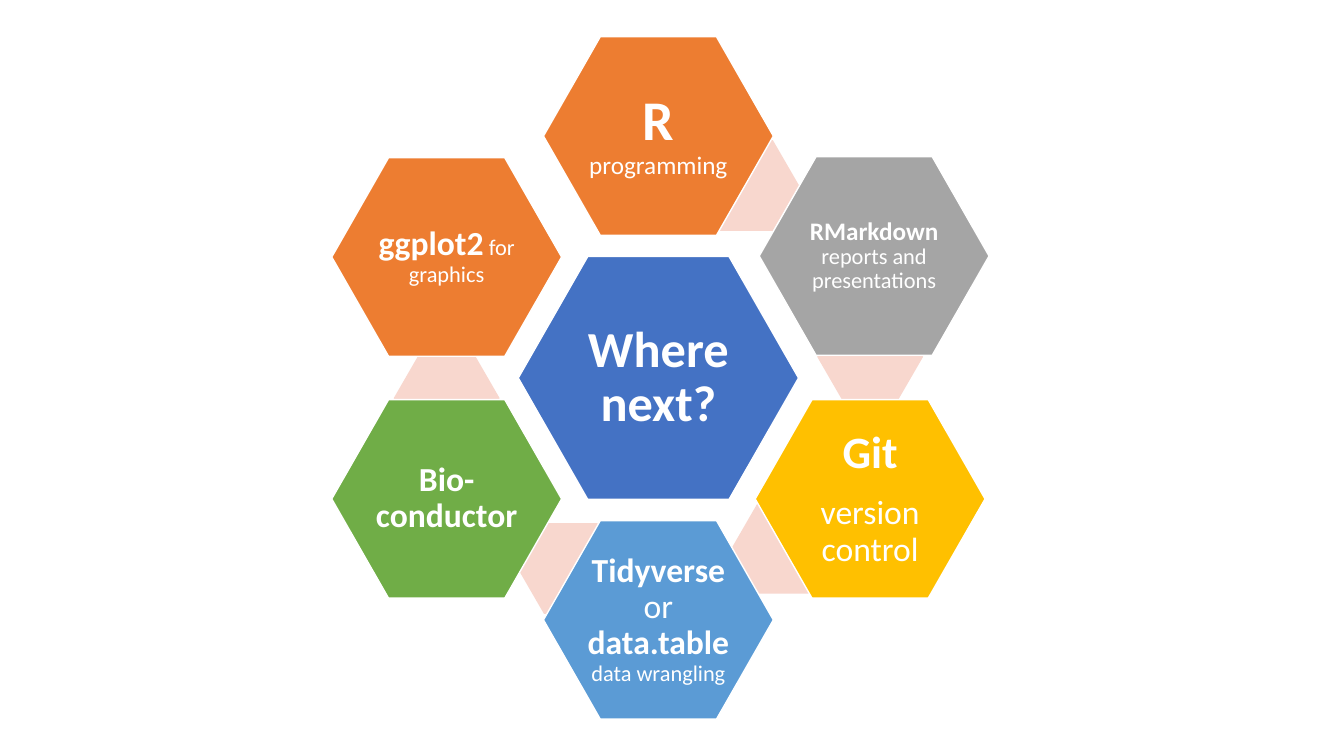
from dataclasses import dataclass

import pptx
import pptx.dml.color
import pptx.enum.shapes
import pptx.enum.text
import pptx.util

Inches = pptx.util.Inches
Pt = pptx.util.Pt
RGBColor = pptx.dml.color.RGBColor

WHITE = RGBColor(0xFF, 0xFF, 0xFF)
BLUE = RGBColor(0x44, 0x72, 0xC4)
ORANGE = RGBColor(0xED, 0x7D, 0x31)
GREY = RGBColor(0xA5, 0xA5, 0xA5)
GOLD = RGBColor(0xFF, 0xC0, 0x00)
SKY = RGBColor(0x5B, 0x9B, 0xD5)
GREEN = RGBColor(0x70, 0xAD, 0x47)
PINK = RGBColor(0xF8, 0xD7, 0xCE)

CENTER_X, CENTER_Y = 6.53, 3.75
HUB_SIZE = (2.78, 2.41)
TOPIC_SIZE = (2.28, 1.97)
LINK_SIZE = (1.05, 0.9)
COLUMN_STEP = 2.1
ROW_STEP = 1.2


@dataclass(frozen=True)
class Phrase:
    """A stretch of text in one format."""
    text: str
    size: int
    bold: bool = False


@dataclass(frozen=True)
class Tile:
    """A labelled hexagon, placed by its centre."""
    x: float
    y: float
    fill: RGBColor
    paragraphs: list[list[Phrase]]
    inset: float = 0.03
    size: tuple[float, float] = TOPIC_SIZE


def add_hexagon(slide, x: float, y: float, size: tuple[float, float],
                fill: RGBColor, slant: float, outlined: bool = False):
    """Draw a hexagon around a centre and return it."""
    width, height = size
    hexagon = slide.shapes.add_shape(
        pptx.enum.shapes.MSO_SHAPE.HEXAGON,
        Inches(x - width / 2), Inches(y - height / 2), Inches(width), Inches(height))
    hexagon.adjustments[0] = slant
    hexagon.shadow.inherit = False
    hexagon.fill.solid()
    hexagon.fill.fore_color.rgb = fill
    if outlined:
        hexagon.line.color.rgb = WHITE
        hexagon.line.width = Pt(1)
    else:
        hexagon.line.fill.background()
    return hexagon


def add_text(paragraph, text: str, *, size: int, bold: bool = False,
             color: RGBColor = WHITE, font: str = "Calibri") -> None:
    """Append formatted text to a paragraph."""
    run = paragraph.add_run()
    run.text = text
    run.font.size = Pt(size)
    run.font.bold = bold
    run.font.color.rgb = color
    run.font.name = font


def add_tile(slide, tile: Tile) -> None:
    """Draw a hexagon with its centred label."""
    hexagon = add_hexagon(slide, tile.x, tile.y, tile.size, tile.fill, 0.286, outlined=True)
    frame = hexagon.text_frame
    frame.word_wrap = True
    frame.vertical_anchor = pptx.enum.text.MSO_ANCHOR.MIDDLE
    frame.margin_left = frame.margin_right = Inches(tile.inset)
    frame.margin_top = frame.margin_bottom = Inches(tile.inset)
    for index, phrases in enumerate(tile.paragraphs):
        paragraph = frame.add_paragraph() if index else frame.paragraphs[0]
        paragraph.alignment = pptx.enum.text.PP_ALIGN.CENTER
        paragraph.line_spacing = 0.9
        paragraph.space_before = Pt(13 if index else 0)
        for phrase in phrases:
            add_text(paragraph, phrase.text, size=phrase.size, bold=phrase.bold)


LEFT_X = CENTER_X - COLUMN_STEP
RIGHT_X = CENTER_X + COLUMN_STEP

LINK_CENTERS = [(7.4, 1.84), (8.63, 3.54), (7.78, 5.44), (5.66, 5.64), (4.43, 3.95)]

TILES = [
    Tile(CENTER_X, CENTER_Y, BLUE, [[Phrase("Where next?", 36, True)]], 0.05, HUB_SIZE),
    Tile(CENTER_X, CENTER_Y - 2 * ROW_STEP, ORANGE,
         [[Phrase("R", 40, True), Phrase(" programming", 18)]], 0.06),
    Tile(RIGHT_X + 0.04, CENTER_Y - ROW_STEP - 0.01, GREY,
         [[Phrase("RMarkdown ", 18, True), Phrase("reports and presentations", 16)]]),
    Tile(RIGHT_X, CENTER_Y + ROW_STEP, GOLD,
         [[Phrase("Git", 32, True)], [Phrase("version control", 24)]], 0.04),
    Tile(CENTER_X, CENTER_Y + 2 * ROW_STEP, SKY,
         [[Phrase("Tidyverse", 24, True), Phrase(" or ", 24),
           Phrase("data.table", 24, True), Phrase(" ", 18, True),
           Phrase("data wrangling", 16)]]),
    Tile(LEFT_X, CENTER_Y + ROW_STEP, GREEN, [[Phrase("Bio-conductor", 24, True)]]),
    Tile(LEFT_X, CENTER_Y - ROW_STEP, ORANGE,
         [[Phrase("ggplot2", 24, True), Phrase(" for graphics", 16)]]),
]

deck = pptx.Presentation()
deck.slide_width = Inches(13.33)
deck.slide_height = Inches(7.5)
roadmap = deck.slides.add_slide(deck.slide_layouts[6])

for link_x, link_y in LINK_CENTERS:
    add_hexagon(roadmap, link_x, link_y, LINK_SIZE, PINK, 0.289)
for topic in TILES:
    add_tile(roadmap, topic)

deck.save("out.pptx")
